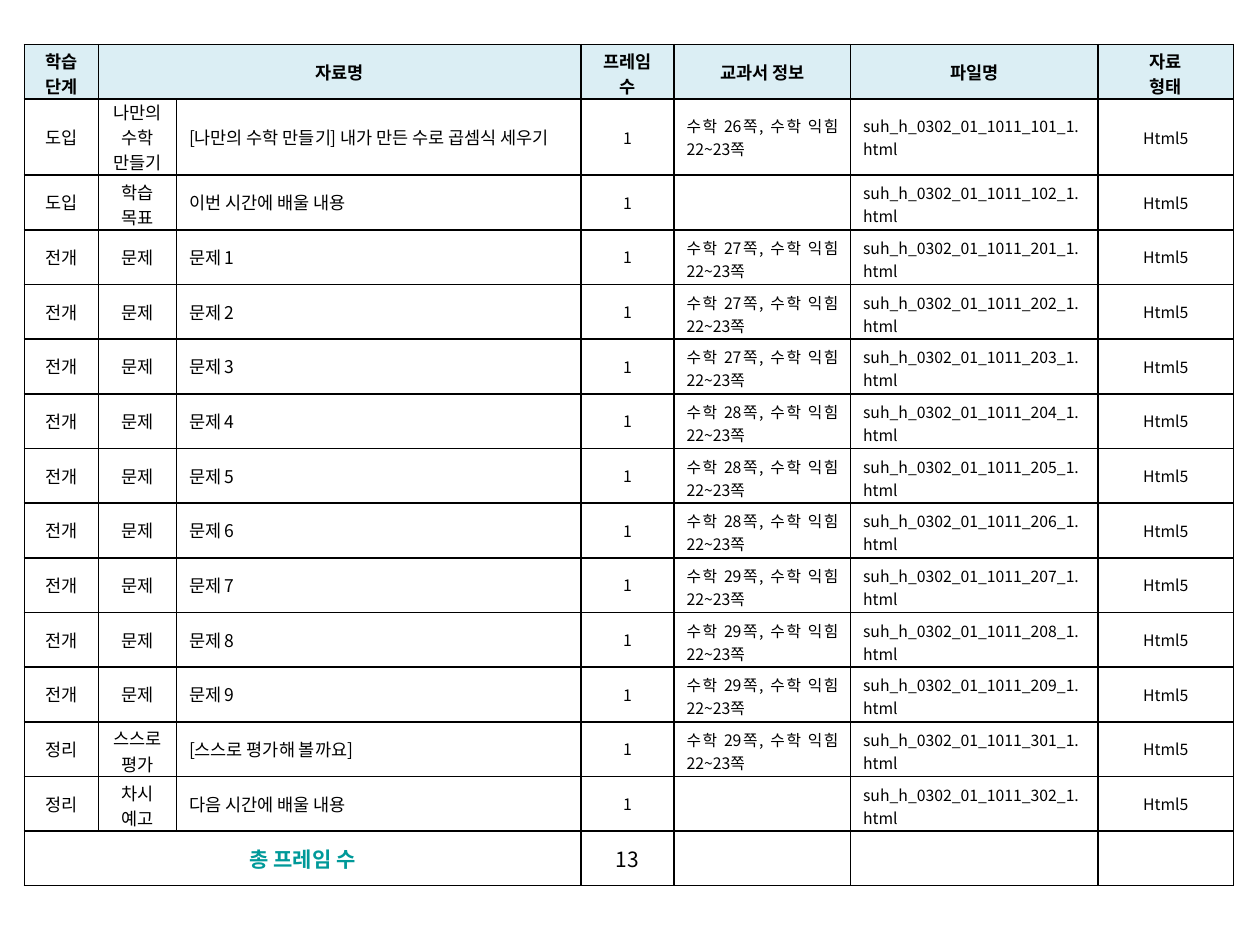
from lxml.etree import SubElement
from pptx import Presentation
from pptx.dml.color import RGBColor as Rgb
from pptx.enum.text import MSO_ANCHOR as Anchor, PP_ALIGN as Align
from pptx.oxml.ns import qn
from pptx.util import Cm, Pt

COLORS = {"ink": "000000", "header": "DBEEF4", "total": "009999"}
COLUMN_WIDTHS = [1.5, 1.57, 8.15, 1.88, 3.56, 4.98, 2.74]
ROW_HEIGHT = 1.1
FIRST_LESSON_HEIGHT = 1.53
HEADINGS = ["학습 단계", "자료명", "", "프레임 수", "교과서 정보", "파일명", "자료\n형태"]
HEADING_LINES = [2, 1, 1, 2, 1, 1, 2]
ALIGNMENTS = [Align.CENTER, Align.CENTER, Align.LEFT, Align.CENTER,
              Align.JUSTIFY, Align.JUSTIFY, Align.CENTER]
SIZES = [10, 10, 10, 9, 9, 9, 9]
RIGHT_MARGINS = [0.25, 0.25, 0.6, 0.25, 0.25, 0.25, 0.25]
PROBLEM_PAGES = [27, 27, 27, 28, 28, 28, 29, 29, 29]

LESSONS = [
    ("도입", "나만의 수학 만들기", "[나만의 수학 만들기] 내가 만든 수로 곱셈식 세우기", 26, 101),
    ("도입", "학습 목표", "이번 시간에 배울 내용", None, 102),
    *[("전개", "문제", f"문제 {number}", page, 200 + number)
      for number, page in enumerate(PROBLEM_PAGES, 1)],
    ("정리", "스스로 평가", "[스스로 평가해 볼까요]", 29, 301),
    ("정리", "차시 예고", "다음 시간에 배울 내용", None, 302),
]


class SlideBuilder:
    font_name = "Noto Sans CJK KR"
    line_spacing = 1.45
    border_width = Pt(1)
    margin = Cm(0.13)

    def __init__(self, slide):
        self.slide = slide

    def table(self, left, top, widths, heights):
        frame = self.slide.shapes.add_table(
            len(heights), len(widths), Cm(left), Cm(top), Cm(sum(widths)), Cm(sum(heights)))
        grid = frame.table
        grid.first_row = grid.horz_banding = False
        for column, width in zip(grid.columns, widths):
            column.width = Cm(width)
        for row, height in zip(grid.rows, heights):
            row.height = Cm(height)
        return grid

    def cell(self, cell, text, size, align, bold=False, color="ink", fill=None):
        cell.text = text
        cell.vertical_anchor = Anchor.MIDDLE
        for paragraph in cell.text_frame.paragraphs:
            paragraph.alignment = align
            font = paragraph.font
            font.name, font.size, font.bold = self.font_name, Pt(size), bold
            font.color.rgb = Rgb.from_string(COLORS[color])
            defaults = paragraph._p.pPr.find(qn("a:defRPr"))
            SubElement(defaults, qn("a:ea"), typeface=self.font_name)
        self.borders(cell)
        if fill:
            cell.fill.solid()
            cell.fill.fore_color.rgb = Rgb.from_string(COLORS[fill])
        else:
            cell.fill.background()

    def fit(self, cell, row_height, lines, size, left=0.25, right=0.25):
        spare = max(0, Cm(row_height) - Pt(lines * size * self.line_spacing))
        cell.margin_top = min(self.margin, spare)
        cell.margin_bottom = min(self.margin, spare - cell.margin_top)
        cell.margin_left, cell.margin_right = Cm(left), Cm(right)

    def borders(self, cell):
        properties = cell._tc.get_or_add_tcPr()
        for side in ("a:lnL", "a:lnR", "a:lnT", "a:lnB"):
            line = SubElement(properties, qn(side), w=str(self.border_width))
            solid = SubElement(line, qn("a:solidFill"))
            SubElement(solid, qn("a:srgbClr"), val=COLORS["ink"])


def main():
    deck = Presentation()
    deck.slide_width, deck.slide_height = Cm(25.4), Cm(19.05)
    builder = SlideBuilder(deck.slides.add_slide(deck.slide_layouts[6]))

    heights = [ROW_HEIGHT] * (len(LESSONS) + 2)
    heights[1] = FIRST_LESSON_HEIGHT
    grid = builder.table(0.49, 0.9, COLUMN_WIDTHS, heights)
    total_row = len(heights) - 1

    for column, (heading, lines) in enumerate(zip(HEADINGS, HEADING_LINES)):
        cell = grid.cell(0, column)
        builder.cell(cell, heading, 10, Align.CENTER, bold=True, fill="header")
        builder.fit(cell, ROW_HEIGHT, lines, 10, left=0.3, right=0.3)

    for row, (stage, activity, title, page, code) in enumerate(LESSONS, 1):
        textbook = f"수학 {page}쪽, 수학 익힘 22~23쪽" if page else ""
        file_name = f"suh_h_0302_01_1011_{code}_1.html"
        values = [stage, activity, title, "1", textbook, file_name, "Html5"]
        line_counts = [1, len(activity.split()), 2 if row == 1 else 1, 1, 2, 2, 1]
        for column, (value, lines) in enumerate(zip(values, line_counts)):
            cell = grid.cell(row, column)
            builder.cell(cell, value, SIZES[column], ALIGNMENTS[column])
            builder.fit(cell, heights[row], lines, SIZES[column], right=RIGHT_MARGINS[column])

    totals = ["총 프레임 수", "", "", str(len(LESSONS)), "", "", ""]
    for column, value in enumerate(totals):
        is_label = column == 0
        builder.cell(grid.cell(total_row, column), value, 12, Align.CENTER,
                     bold=is_label, color="total" if is_label else "ink")

    grid.cell(0, 1).merge(grid.cell(0, 2))
    grid.cell(total_row, 0).merge(grid.cell(total_row, 2))
    deck.save("out.pptx")


if __name__ == "__main__":
    main()
